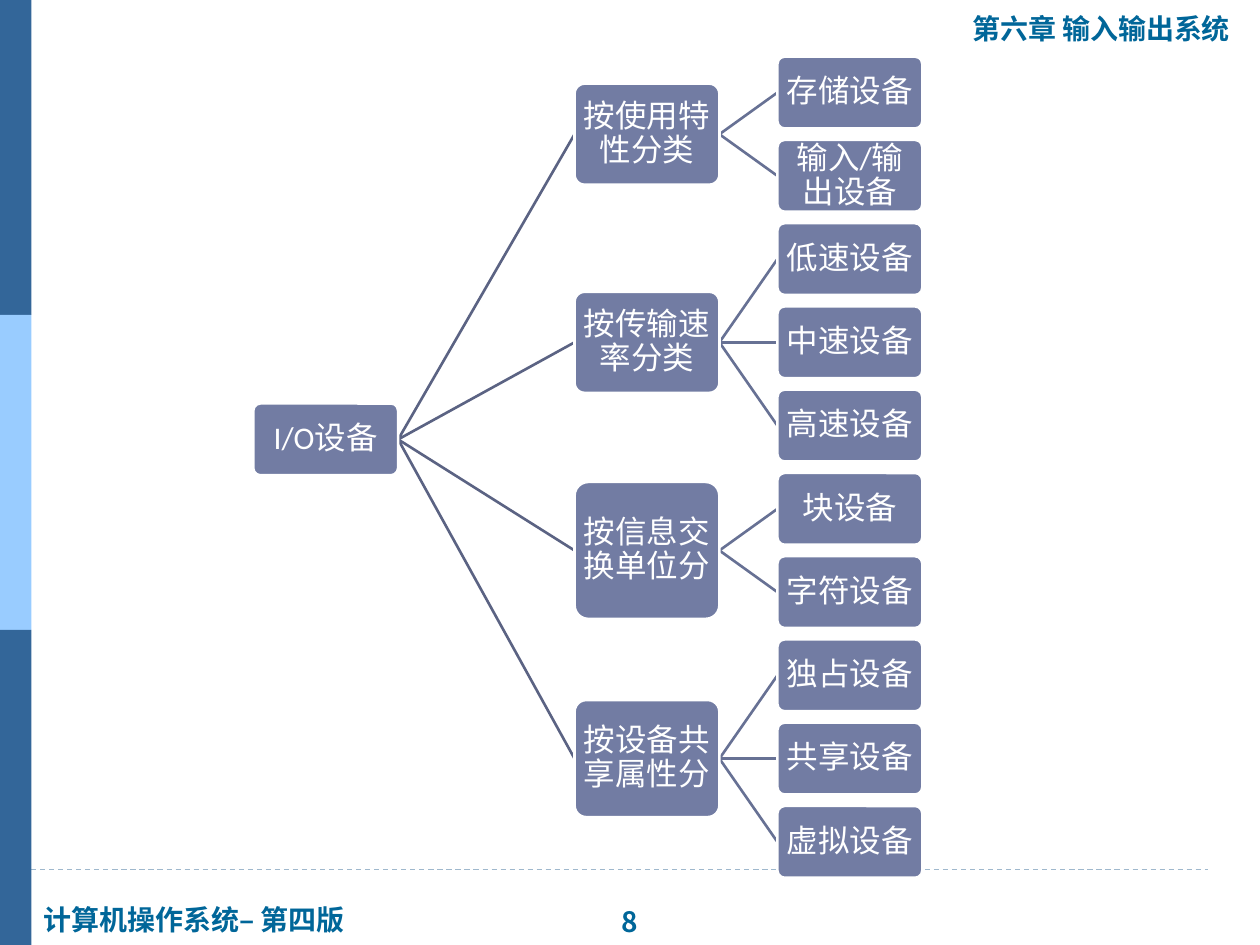
from lxml import etree
from pptx import Presentation
from pptx import util as u
from pptx.dml.color import RGBColor
from pptx.enum import dml, shapes, text

deck = Presentation()
deck.slide_width, deck.slide_height = u.Inches(10), u.Inches(7.5)
slide = deck.slides.add_slide(deck.slide_layouts[6])


def colour(fmt, value):
    if hasattr(fmt, "solid"):
        fmt.solid()
        fmt = fmt.fore_color
    fmt.rgb = RGBColor.from_string(value)


def share(*percents):
    sides = (deck.slide_width, deck.slide_height) * 2
    return [u.Emu(round(side * p / 100)) for side, p in zip(sides, percents)]


columns = {"root": 20.1, "branch": 45.6, "leaf": 61.7}
node_width, leaf_height = 11.5, 7.6
first_row, row_pitch = 9.8, 8.81
root_middle = 46.5
branches = [
    ("按使用特性分类", 10.7, ["存储设备", "输入/输出设备"]),
    ("按传输速率分类", 10.7, ["低速设备", "中速设备", "高速设备"]),
    ("按信息交换单位分", 14.5, ["块设备", "字符设备"]),
    ("按设备共享属性分", 12.4, ["独占设备", "共享设备", "虚拟设备"]),
]

links = [(-0.4, 92, 95.9, 92, "9FB8CD", 0.75, dml.MSO_LINE.DASH)]
nodes = [("I/O设备", columns["root"], root_middle, leaf_height)]
root_edge = columns["root"] + node_width
branch_edge = columns["branch"] + node_width
row = 0
for label, height, leaves in branches:
    middle = first_row + row_pitch * (row + (len(leaves) - 1) / 2)
    links.append((root_edge, root_middle, columns["branch"], middle, "5B6383", 1.5, None))
    nodes.append((label, columns["branch"], middle, height))
    for leaf in leaves:
        leaf_middle = first_row + row_pitch * row
        links.append((branch_edge, middle, columns["leaf"], leaf_middle, "677194", 1.5, None))
        nodes.append((leaf, columns["leaf"], leaf_middle, leaf_height))
        row += 1

for *ends, ink, weight, dash in links:
    link = slide.shapes.add_connector(shapes.MSO_CONNECTOR.STRAIGHT, *share(*ends))
    colour(link.line.color, ink)
    link.line.width = u.Pt(weight)
    link.line.dash_style = dash
    etree.SubElement(link.line._get_or_add_ln().getparent(),
                     "{http://schemas.openxmlformats.org/drawingml/2006/main}effectLst")

for band, fill in enumerate(["336699", "99CCFF", "336699"]):
    stripe = slide.shapes.add_shape(shapes.MSO_SHAPE.RECTANGLE,
                                    *share(0, band * 100 / 3, 2.5, 100 / 3))
    stripe.shadow.inherit = False
    colour(stripe.fill, fill)
    stripe.line.fill.background()

node_frame = dict(word_wrap=True, vertical_anchor=text.MSO_ANCHOR.MIDDLE,
                  margin_left=u.Inches(0.03), margin_right=u.Inches(0.03),
                  margin_top=u.Inches(0.03), margin_bottom=u.Inches(0.03))
node_paragraph = dict(alignment=text.PP_ALIGN.CENTER, line_spacing=0.9)
node_font = dict(name="Calibri", size=u.Pt(18))
for label, left, middle, height in nodes:
    node = slide.shapes.add_shape(shapes.MSO_SHAPE.ROUNDED_RECTANGLE,
                                  *share(left, middle - height / 2, node_width, height))
    node.adjustments[0] = 0.1
    node.shadow.inherit = False
    colour(node.fill, "727CA3")
    colour(node.line.color, "FFFFFF")
    node.line.width = u.Pt(1.5)
    paragraph = node.text_frame.paragraphs[0]
    run = paragraph.add_run()
    run.text = label
    colour(run.font.color, "FFFFFF")
    for target, values in ((node.text_frame, node_frame), (paragraph, node_paragraph),
                           (run.font, node_font)):
        for key, value in values.items():
            setattr(target, key, value)

captions = [
    ("计算机操作系统– 第四版", (2.5, 94.8, 26.5, 4.93), "Arial", text.PP_ALIGN.LEFT),
    ("8", (47.3, 95.07, 5.4, 4.93), "Noto Sans CJK JP", text.PP_ALIGN.CENTER),
    ("第六章 输入输出系统", (76.2, 0.53, 23, 4.93), "Arial", text.PP_ALIGN.LEFT),
]
for label, area, face, alignment in captions:
    caption = slide.shapes.add_textbox(*share(*area)).text_frame
    caption.word_wrap = False
    caption.auto_size = text.MSO_AUTO_SIZE.SHAPE_TO_FIT_TEXT
    caption.paragraphs[0].alignment = alignment
    run = caption.paragraphs[0].add_run()
    run.text = label
    colour(run.font.color, "006699")
    for key, value in dict(name=face, size=u.Pt(16), bold=True).items():
        setattr(run.font, key, value)

deck.save("out.pptx")
